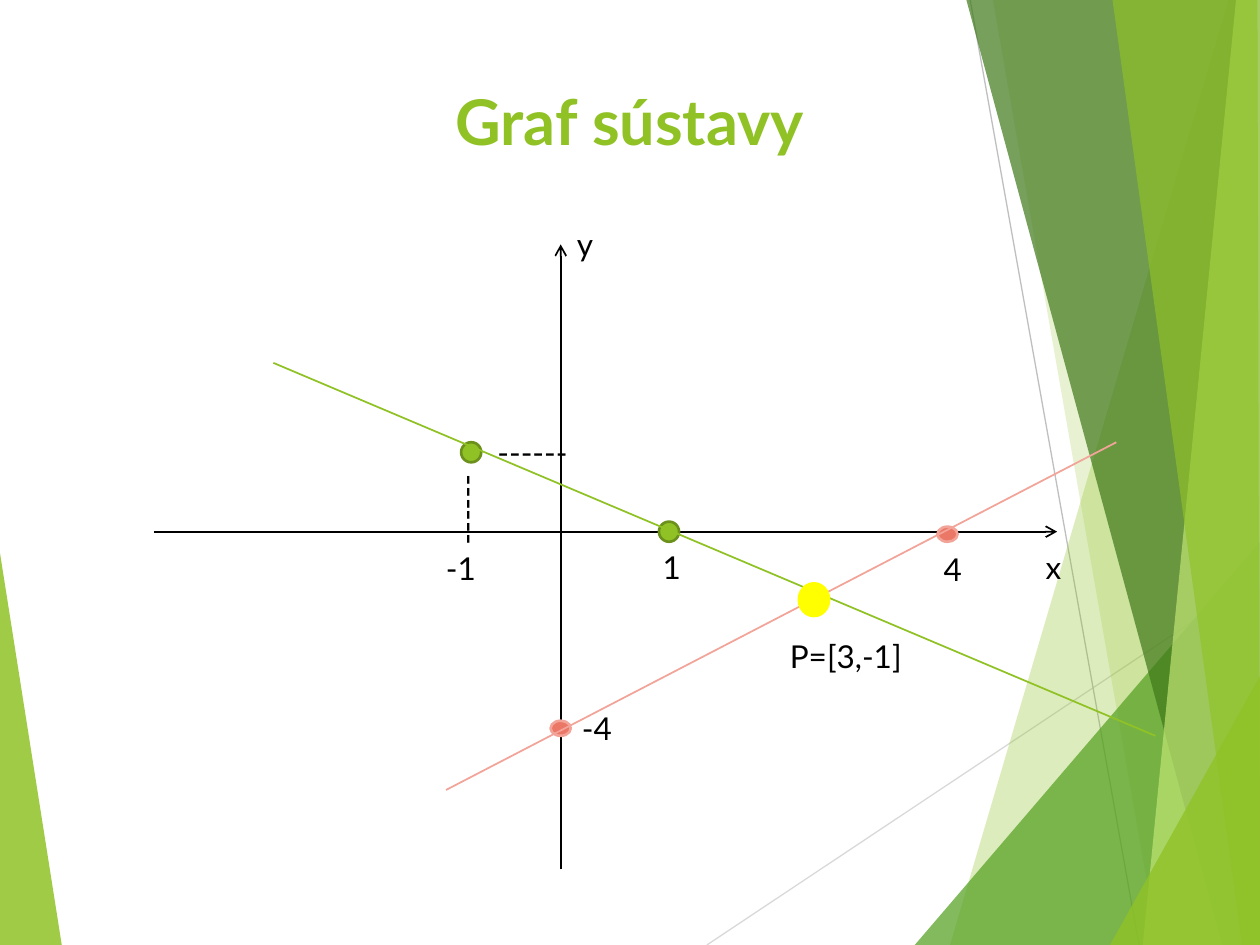
from lxml import etree
from pptx import Presentation
from pptx import util as u
from pptx.dml.color import RGBColor
from pptx.enum import shapes, text
from pptx.oxml.ns import qn

GREEN = RGBColor(0x90, 0xC2, 0x26)
MOSS = RGBColor(0x6B, 0x90, 0x1C)
LEAF = RGBColor(0x54, 0xA0, 0x21)
PINE = RGBColor(0x3F, 0x78, 0x19)
LIME = RGBColor(0xC0, 0xE4, 0x74)
CORAL = RGBColor(0xEB, 0x77, 0x66)
PINK = RGBColor(0xF2, 0xA4, 0x99)
YELLOW = RGBColor(0xFF, 0xFF, 0x00)
BLACK = RGBColor(0, 0, 0)
PALE = RGBColor(0xD9, 0xD9, 0xD9)
GREY = RGBColor(0xBF, 0xBF, 0xBF)

COLS, ROWS = 10, 7.5
EDGE = COLS + 0.01

# Facets of the backdrop: corners in columns and rows, colour, opacity in percent
FACETS = [
    ([(7.54, ROWS), (9.75, 0), (EDGE, 0), (EDGE, ROWS)], GREEN, 30),
    ([(7.88, 0), (9.19, ROWS), (EDGE, ROWS), (EDGE, 0)], GREEN, 20),
    ([(7.26, ROWS), (EDGE, 4.29), (EDGE, ROWS)], LEAF, 72),
    ([(7.67, 0), (9.7, ROWS), (EDGE, ROWS), (EDGE, 0)], PINE, 70),
    ([(9.81, 0), (9.07, ROWS), (EDGE, ROWS), (EDGE, 0)], LIME, 70),
    ([(8.83, 0), (9.86, ROWS), (COLS, ROWS), (9.98, 0)], GREEN, 65),
    ([(8.81, ROWS), (EDGE, 5.35), (EDGE, ROWS)], GREEN, 80),
]

# Labels: words, column, row, width
LABELS = [
    ("x", 8.2, 4.3, 0.8),
    ("y", 4.48, 1.74, 0.79),
    ("1", 5.16, 4.3, 0.71),
    ("-1", 3.44, 4.31, 1.02),
    ("-4", 4.52, 5.58, 0.63),
    ("4", 7.39, 4.32, 0.71),
    ("P=[3,-1]", 6.17, 5.01, 1.35),
    ("------", 3.85, 3.39, 1.34),
]


class Board:
    """Places elements on a slide, measured in grid columns and rows."""

    font = "Lato"

    def __init__(self, deck):
        self.slide = deck.slides.add_slide(deck.slide_layouts[6])
        self.items = self.slide.shapes
        self.col = deck.slide_width / COLS
        self.row = deck.slide_height / ROWS

    def spot(self, x, y):
        return round(x * self.col), round(y * self.row)

    def facet(self, ends, color, alpha):
        first, *rest = [self.spot(*end) for end in ends]
        pen = self.items.build_freeform(*first)
        pen.add_line_segments(rest, close=True)
        shape = pen.convert_to_shape()
        shape.shadow.inherit = False
        shape.fill.solid()
        shape.fill.fore_color.rgb = color
        shape.line.fill.background()
        tint = shape.fill._xPr.find(".//" + qn("a:srgbClr"))
        etree.SubElement(tint, qn("a:alpha")).set("val", str(alpha * 1000))

    def line(self, start, end, color, width=1, arrow=False):
        line = self.items.add_connector(
            shapes.MSO_CONNECTOR.STRAIGHT, *self.spot(*start), *self.spot(*end))
        line.line.color.rgb = color
        line.line.width = u.Pt(width)
        if arrow:
            tip = etree.SubElement(line.line._get_or_add_ln(), qn("a:tailEnd"))
            tip.set("type", "arrow")
        etree.SubElement(line._element.spPr, qn("a:effectLst"))

    def dot(self, x, y, wide, high, fill, edge):
        dot = self.items.add_shape(
            shapes.MSO_SHAPE.OVAL, *self.spot(x, y), *self.spot(wide, high))
        dot.shadow.inherit = False
        dot.fill.solid()
        dot.fill.fore_color.rgb = fill
        dot.line.color.rgb = edge
        dot.line.width = u.Pt(1.5)

    def label(self, words, x, y, wide, high=0.4, size=18, color=BLACK,
              turn=0, title=False):
        box = self.items.add_textbox(*self.spot(x, y), *self.spot(wide, high))
        box.rotation = turn
        frame = box.text_frame
        frame.word_wrap = True
        frame.text = words
        para = frame.paragraphs[0]
        if title:
            frame.vertical_anchor = text.MSO_ANCHOR.MIDDLE
            para.alignment = text.PP_ALIGN.CENTER
        else:
            frame.auto_size = text.MSO_AUTO_SIZE.SHAPE_TO_FIT_TEXT
        font = para.runs[0].font
        font.name, font.size, font.bold = self.font, u.Pt(size), title
        font.color.rgb = color


def main():
    deck = Presentation()
    deck.slide_width, deck.slide_height = u.Inches(10), u.Inches(7.5)
    board = Board(deck)

    board.facet([(0, 4.39), (0.49, ROWS), (0, ROWS)], GREEN, 85)
    board.line((5.61, ROWS), (EDGE, 4.57), PALE, 0.75)
    board.line((7.7, 0), (9.04, ROWS), GREY, 0.75)
    for facet in FACETS:
        board.facet(*facet)

    board.label("Graf sústavy", 0.5, 0.29, 9, 1.33, 36, GREEN, title=True)
    board.line((4.45, 6.9), (4.45, 1.94), BLACK, arrow=True)
    board.line((1.22, 4.22), (8.39, 4.22), BLACK, arrow=True)

    for x, y in [(3.66, 3.51), (5.23, 4.14)]:
        board.dot(x, y, 0.16, 0.16, GREEN, MOSS)
    board.line((2.17, 2.88), (9.17, 5.84), GREEN)

    for x, y in [(4.37, 5.72), (7.44, 4.18)]:
        board.dot(x, y, 0.16, 0.12, CORAL, PINK)
    board.line((3.54, 6.27), (8.86, 3.51), PINK)
    board.dot(6.34, 4.63, 0.24, 0.26, YELLOW, YELLOW)

    for label in LABELS:
        board.label(*label)
    board.label("------", 3.07, 4.14, 1.34, turn=90)

    deck.save("out.pptx")


if __name__ == "__main__":
    main()
